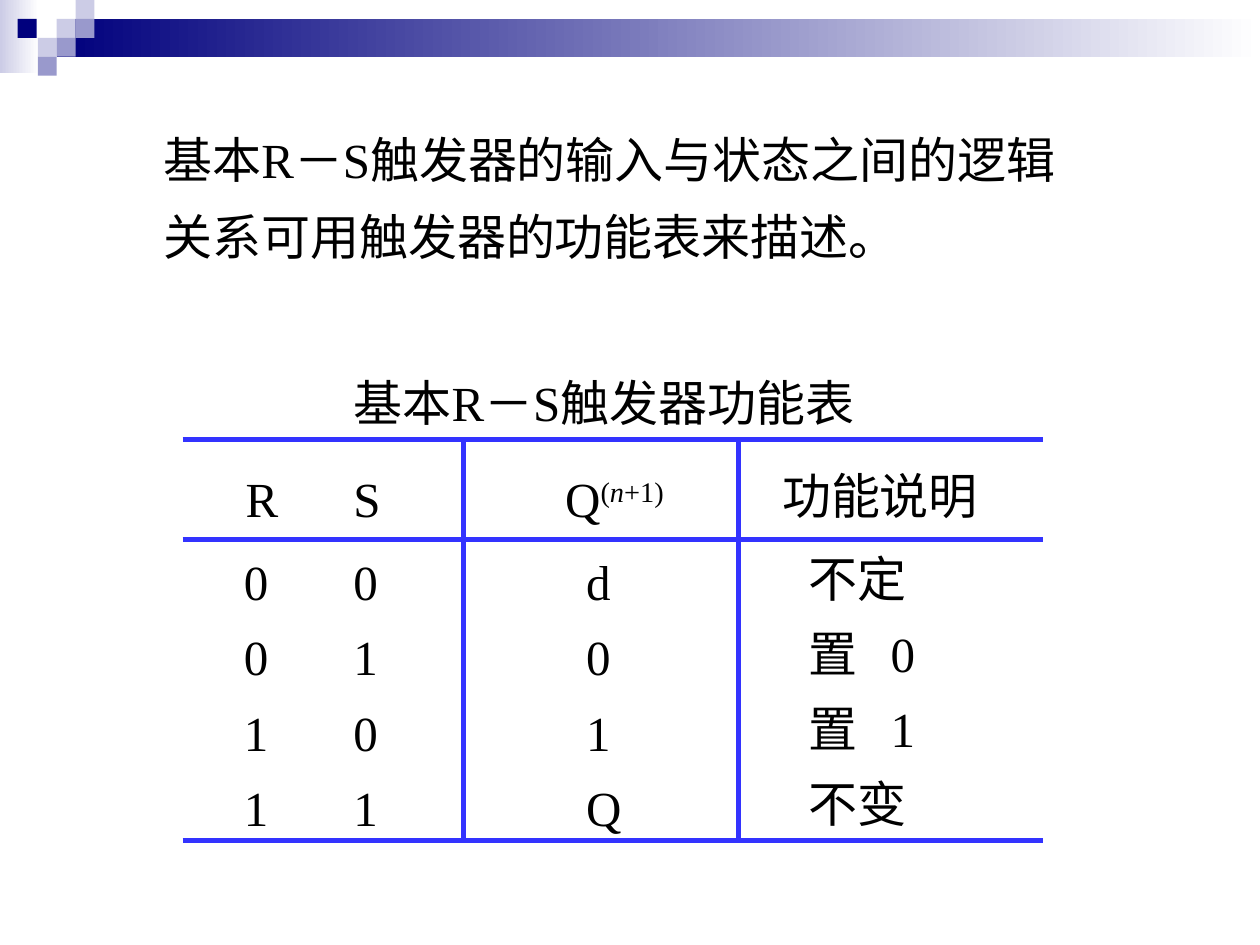
from dataclasses import dataclass

from lxml import etree
from pptx import Presentation
from pptx.dml.color import RGBColor
from pptx.enum.shapes import MSO_SHAPE
from pptx.enum.text import MSO_ANCHOR
from pptx.oxml.ns import qn
from pptx.util import Pt

RECT = MSO_SHAPE.RECTANGLE
BOTTOM = MSO_ANCHOR.BOTTOM
FONT, SIZE = "Times New Roman", 28
NO_STYLE = "{2D5ABB26-0587-4C30-8999-92F81FD0307C}"
COLORS = {
    "white": "FFFFFF", "pale": "CCCCE6", "mid": "9999CC",
    "navy": "00007D", "rule": "3333FF", "text": "000000",
}


@dataclass
class Block:
    left: float
    top: float
    width: float
    height: float
    color: str
    fade_to: str = ""


@dataclass
class Column:
    width: float
    head: str
    head_indent: float
    values: list[str]
    indent: float
    ruled: bool = False


def rgb(name: str) -> RGBColor:
    return RGBColor.from_string(COLORS[name])


def draw_block(s, b: Block) -> None:
    sp = s.shapes.add_shape(RECT, Pt(b.left), Pt(b.top), Pt(b.width), Pt(b.height))
    sp.shadow.inherit = False
    sp.line.fill.background()
    if b.fade_to:
        sp.fill.gradient()
        sp.fill.gradient_angle = 0
        for stop, name in zip(sp.fill.gradient_stops, (b.color, b.fade_to)):
            stop.color.rgb = rgb(name)
    else:
        sp.fill.solid()
        sp.fill.fore_color.rgb = rgb(b.color)


def style_run(r) -> None:
    r.font.name, r.font.size = FONT, Pt(SIZE)
    r.font.color.rgb = rgb("text")


def add_text(s, left: float, top: float, width: float, height: float,
             text: str, spacing: float = 1.0) -> None:
    tf = s.shapes.add_textbox(Pt(left), Pt(top), Pt(width), Pt(height)).text_frame
    tf.word_wrap = True
    tf.text = text
    p = tf.paragraphs[0]
    p.line_spacing = spacing
    style_run(p.runs[0])


def add_border(cell, side: str) -> None:
    ln = etree.SubElement(cell._tc.get_or_add_tcPr(), qn(f"a:{side}"), w=str(Pt(3)))
    fill = etree.SubElement(ln, qn("a:solidFill"))
    etree.SubElement(fill, qn("a:srgbClr"), val=COLORS["rule"])


def add_tab(p, position: float) -> None:
    tabs = etree.SubElement(p._p.get_or_add_pPr(), qn("a:tabLst"))
    etree.SubElement(tabs, qn("a:tab"), pos=str(Pt(position)), algn="l")


def fill_cell(cell, text: str, indent: float, bottom: float) -> None:
    cell.vertical_anchor = BOTTOM
    cell.margin_left, cell.margin_bottom = Pt(indent), Pt(bottom)
    cell.margin_top = cell.margin_right = 0
    p = cell.text_frame.paragraphs[0]
    if "\t" in text:
        add_tab(p, 47)
    # A caret separates the base from its superscript, in which n is italic
    base, _, power = text.partition("^")
    p.text = base
    for part in power:
        r = p.add_run()
        r.text = part
        r.font.italic = part == "n"
        r.font._element.set("baseline", "30000")
    for r in p.runs:
        style_run(r)


def add_truth_table(s, left: float, top: float, columns: list[Column],
                    head_height: float, row_height: float) -> None:
    rows = len(columns[0].values) + 1
    width = sum(c.width for c in columns)
    height = head_height + row_height * (rows - 1)
    table = s.shapes.add_table(rows, len(columns), Pt(left), Pt(top),
                               Pt(width), Pt(height)).table
    table._tbl.tblPr.find(qn("a:tableStyleId")).text = NO_STYLE
    table.horz_banding = False
    for i, row in enumerate(table.rows):
        row.height = Pt(row_height if i else head_height)
    for j, column in enumerate(columns):
        table.columns[j].width = Pt(column.width)
        for i, text in enumerate([column.head, *column.values]):
            cell = table.cell(i, j)
            fill_cell(cell, text, column.indent if i else column.head_indent,
                      2 if i else 6.5)
            if column.ruled:
                add_border(cell, "lnR")
            if i == 0:
                add_border(cell, "lnT")
            if i in (0, rows - 1):
                add_border(cell, "lnB")
            cell.fill.background()


def main() -> None:
    prs = Presentation()
    prs.slide_width, prs.slide_height = Pt(720), Pt(540)
    s = prs.slides.add_slide(prs.slide_layouts[6])

    # Header band and its mosaic of squares
    draw_block(s, Block(0, 0, 22.3, 41.8, "pale", "white"))
    draw_block(s, Block(32.4, 10.8, 687.6, 21.6, "navy", "white"))
    side = 10.8
    for left, row, color in [
        (32.4, 1, "pale"), (43.2, 0, "pale"), (43.2, 1, "mid"), (21.6, 2, "pale"),
        (10.1, 1, "navy"), (32.4, 2, "mid"), (21.6, 3, "mid"),
    ]:
        draw_block(s, Block(left, row * side, side, side, color))

    # Introduction and table caption
    add_text(s, 86.4, 60.5, 542.9, 95, "基本R－S触发器的输入与状态之间的逻辑关系可用触发器的功能表来描述。", 1.3)
    add_text(s, 195.1, 209.5, 330, 41, "基本R－S触发器功能表")

    # Function table
    add_truth_table(s, 104.4, 251.3, [
        Column(80.6, "R", 36, ["0", "0", "1", "1"], 35),
        Column(80, "S", 17, ["0", "1", "0", "1"], 17, ruled=True),
        Column(157, "Q^(n+1)", 58, ["d", "0", "1", "Q"], 70, ruled=True),
        Column(174.2, "功能说明", 25, ["不定", "置\t0", "置\t1", "不变"], 40),
    ], head_height=57, row_height=43)

    prs.save("out.pptx")


if __name__ == "__main__":
    main()
